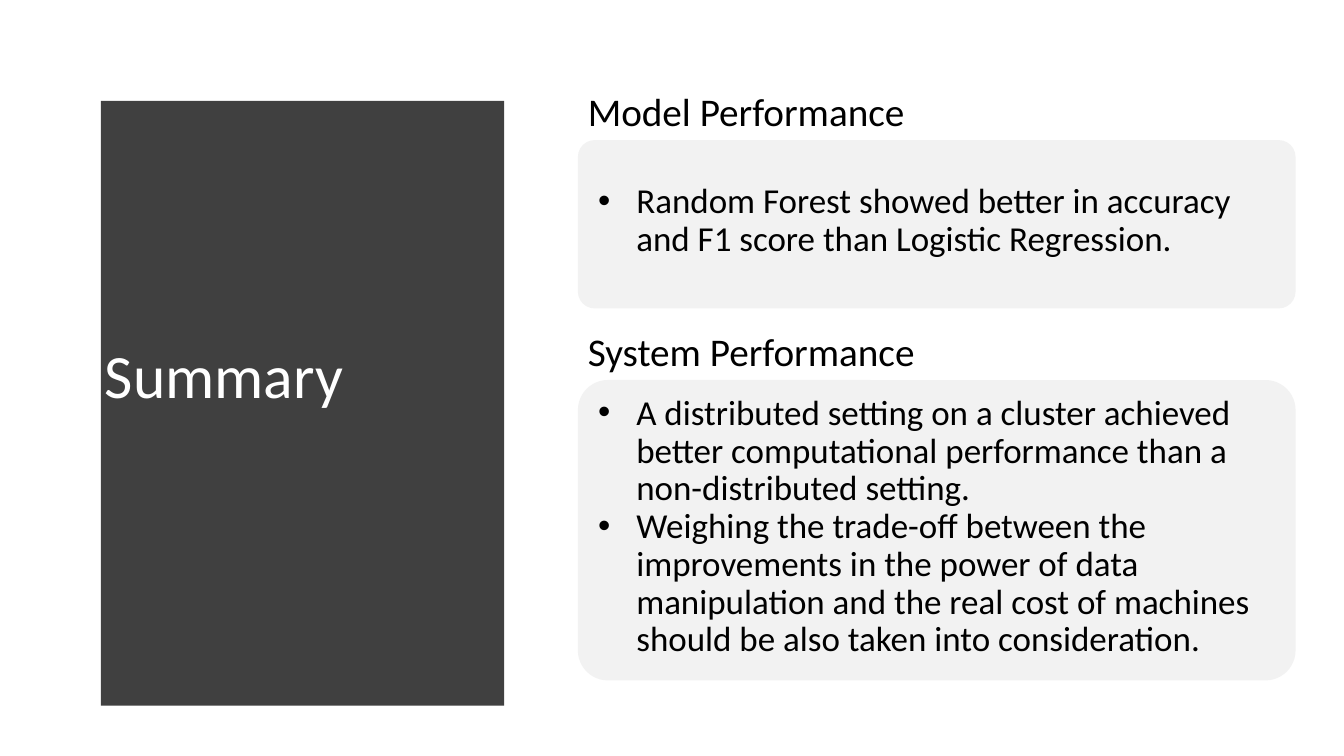
from lxml import etree
from pptx import Presentation
from pptx.dml.color import RGBColor
from pptx.enum.shapes import MSO_SHAPE
from pptx.enum.text import MSO_ANCHOR
from pptx.oxml.ns import qn
from pptx.util import Inches, Pt

WIDE, HIGH = 13.33, 7.5
ROUND = MSO_SHAPE.ROUNDED_RECTANGLE
TOP, MIDDLE = MSO_ANCHOR.TOP, MSO_ANCHOR.MIDDLE
DARK, PALE, BLACK, WHITE = "404040", "F2F2F2", "000000", "FFFFFF"
HANG = 0.38
HEAD = 0.57

PANEL = (0.04 * WIDE, 0.07 * HIGH, 0.36 * WIDE, 0.86 * HIGH)
LEFT, SPAN = 0.43 * WIDE, 0.534 * WIDE
SECTIONS = [
    ("Model Performance", 0.82, 1.67, [
        "Random Forest showed better in accuracy and F1 score than Logistic Regression.",
    ]),
    ("System Performance", 3.2, 2.98, [
        "A distributed setting on a cluster achieved better computational performance "
        "than a non-distributed setting.",
        "Weighing the trade-off between the improvements in the power of data manipulation "
        "and the real cost of machines should be also taken into consideration.",
    ]),
]


def color(code):
    return RGBColor.from_string(code)


def paint(shape, code):
    shape.shadow.inherit = False
    shape.fill.solid()
    shape.fill.fore_color.rgb = color(code)
    shape.line.fill.background()


def add_bullet(para):
    props = para._p.get_or_add_pPr()
    props.set("marL", str(Inches(HANG)))
    props.set("indent", str(-Inches(HANG)))
    etree.SubElement(props, qn("a:buFont")).set("typeface", "Arial")
    etree.SubElement(props, qn("a:buChar")).set("char", "•")


def add_text(slide, box, lines, size, code=BLACK, anchor=TOP, inset=(0.1, 0.05),
             space=1.0, bullets=False):
    frame = slide.shapes.add_textbox(*map(Inches, box)).text_frame
    side, edge = map(Inches, inset)
    form = {"word_wrap": True, "vertical_anchor": anchor, "margin_left": side,
            "margin_right": side, "margin_top": edge, "margin_bottom": edge}
    for name, value in form.items():
        setattr(frame, name, value)
    for row, line in enumerate(lines):
        para = frame.add_paragraph() if row else frame.paragraphs[0]
        para.line_spacing = space
        if bullets:
            add_bullet(para)
        run = para.add_run()
        run.text = line
        for name, value in {"name": "Calibri", "size": Pt(size)}.items():
            setattr(run.font, name, value)
        run.font.color.rgb = color(code)


def add_panel(slide, box, title):
    """Draw the dark panel with its bowed right edge, and the title on it."""
    left, top, width, height = box
    bulge, peak, steps = 0.05 * width, 0.48, 40
    curve = []
    for step in range(steps + 1):
        share = step / steps
        reach = peak if share < peak else 1 - peak
        dip = bulge * ((share - peak) / reach) ** 2
        curve.append((left + width - dip, top + share * height))
    pen = slide.shapes.build_freeform(left, top, scale=Inches(1))
    pen.add_line_segments(curve + [(left, top + height)], close=True)
    paint(pen.convert_to_shape(), DARK)
    label = (left + 0.085 * width, top, 0.78 * width, height)
    add_text(slide, label, [title], 44, WHITE, MIDDLE, space=0.9)


def add_section(slide, box, head, points):
    """Place a heading with a rounded card of bullets below it."""
    left, top, width, height = box
    card_box = (left, top + HEAD, width, height - HEAD)
    card = slide.shapes.add_shape(ROUND, *map(Inches, card_box))
    card.adjustments[0] = 0.1
    paint(card, PALE)
    add_text(slide, (left, top, 0.6 * width, HEAD), [head], 28)
    add_text(slide, (left, top + HEAD - 0.03, width, height - HEAD), points, 25,
             anchor=MIDDLE, inset=(0.2, 0.2), space=0.9, bullets=True)


def main():
    deck = Presentation()
    deck.slide_width, deck.slide_height = Inches(WIDE), Inches(HIGH)
    slide = deck.slides.add_slide(deck.slide_layouts[6])
    add_panel(slide, PANEL, "Summary")
    for head, top, tall, points in SECTIONS:
        add_section(slide, (LEFT, top, SPAN, HEAD + tall), head, points)
    deck.save("out.pptx")


if __name__ == "__main__":
    main()
